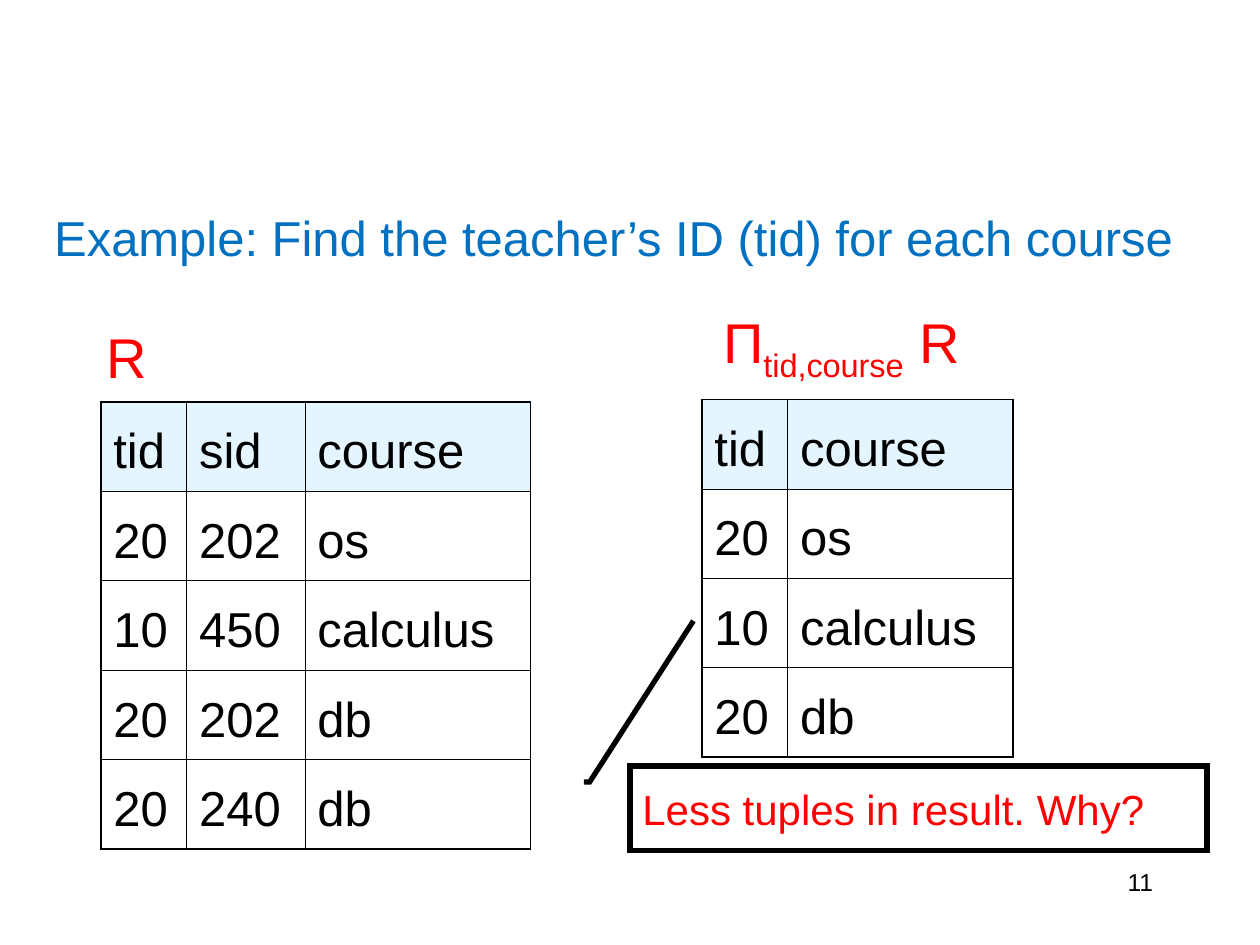
from dataclasses import dataclass

from lxml import etree
from pptx import Presentation
from pptx.dml.color import RGBColor
from pptx.enum import shapes, text
from pptx.oxml import ns
from pptx.util import Inches, Pt

BLACK = RGBColor(0x00, 0x00, 0x00)
RED = RGBColor(0xFF, 0x00, 0x00)
BLUE = RGBColor(0x00, 0x70, 0xC0)
HEADER_BLUE = RGBColor(0xCC, 0xEC, 0xFF)

FONT = "Arial"
ROW_HEIGHT = 0.71
OUTER_BORDER = 1.08
INNER_BORDER = 0.45
TID_WIDTH, SID_WIDTH, COURSE_WIDTH = 0.68, 0.94, 1.79


@dataclass
class Relation:
    left: float
    top: float
    widths: list[float]
    rows: list[list[str]]


@dataclass
class Label:
    left: float
    top: float
    width: float
    height: float
    runs: list[tuple[str, int]]
    size: float
    color: RGBColor
    align: text.PP_ALIGN = text.PP_ALIGN.LEFT
    anchor: text.MSO_ANCHOR = text.MSO_ANCHOR.TOP
    wrap: bool = True


RELATIONS = [
    Relation(5.57, 3.17, [TID_WIDTH, COURSE_WIDTH],
             [["tid", "course"], ["20", "os"], ["10", "calculus"], ["20", "db"]]),
    Relation(0.8, 3.19, [TID_WIDTH, SID_WIDTH, COURSE_WIDTH],
             [["tid", "sid", "course"], ["20", "202", "os"], ["10", "450", "calculus"],
              ["20", "202", "db"], ["20", "240", "db"]]),
]

LABELS = [
    Label(0.75, 2.5, 0.5, 0.64, [("R", 0)], 32, RED, anchor=text.MSO_ANCHOR.BOTTOM),
    Label(5.64, 2.39, 2.1, 0.71, [("Π", 0), ("tid,course", -25000), (" R", 0)], 32, RED,
          anchor=text.MSO_ANCHOR.MIDDLE, wrap=False),
    Label(7.17, 6.83, 2.08, 0.5, [("11", 0)], 14, BLACK, align=text.PP_ALIGN.RIGHT),
]


def style(paragraph, size: float, color: RGBColor) -> None:
    paragraph.font.name = FONT
    paragraph.font.size = Pt(size)
    paragraph.font.color.rgb = color


def add_border(cell, side: str, width: float) -> None:
    line = etree.SubElement(cell._tc.get_or_add_tcPr(), ns.qn(f"a:{side}"), w=str(Pt(width)))
    fill = etree.SubElement(line, ns.qn("a:solidFill"))
    etree.SubElement(fill, ns.qn("a:srgbClr"), val=str(BLACK))


def fill_header(cell) -> None:
    cell.fill.solid()
    cell.fill.fore_color.rgb = HEADER_BLUE
    color = cell._tc.tcPr.find(f"{ns.qn('a:solidFill')}/{ns.qn('a:srgbClr')}")
    etree.SubElement(color, ns.qn("a:alpha"), val="50000")


def draw_relation(slide, relation: Relation) -> None:
    row_count, column_count = len(relation.rows), len(relation.widths)
    table = slide.shapes.add_table(
        row_count, column_count, Inches(relation.left), Inches(relation.top),
        Inches(sum(relation.widths)), Inches(ROW_HEIGHT * row_count)).table
    table.first_row = table.horz_banding = False
    for column, width in zip(table.columns, relation.widths):
        column.width = Inches(width)
    for r, values in enumerate(relation.rows):
        table.rows[r].height = Inches(ROW_HEIGHT)
        for c, value in enumerate(values):
            cell = table.cell(r, c)
            cell.text = value
            paragraph = cell.text_frame.paragraphs[0]
            paragraph.line_spacing = 1.3
            style(paragraph, 28, BLACK)
            edges = {"lnL": c == 0, "lnR": c == column_count - 1,
                     "lnT": r == 0, "lnB": r == row_count - 1}
            for side, outer in edges.items():
                add_border(cell, side, OUTER_BORDER if outer else INNER_BORDER)
            if r == 0:
                fill_header(cell)
            else:
                cell.fill.background()


def draw_label(slide, label: Label) -> None:
    frame = slide.shapes.add_textbox(
        Inches(label.left), Inches(label.top),
        Inches(label.width), Inches(label.height)).text_frame
    frame.word_wrap = label.wrap
    frame.vertical_anchor = label.anchor
    paragraph = frame.paragraphs[0]
    paragraph.alignment = label.align
    for content, baseline in label.runs:
        run = paragraph.add_run()
        run.text = content
        if baseline:
            run.font._element.set("baseline", str(baseline))
    style(paragraph, label.size, label.color)


def draw_example(slide) -> None:
    example = slide.placeholders[1]
    example.left, example.top = Inches(0.33), Inches(1)
    example.width, example.height = Inches(9.42), Inches(5.25)
    frame = example.text_frame
    frame.margin_top = Inches(0.65)
    frame.text = "Example: Find the teacher’s ID (tid) for each course"
    paragraph = frame.paragraphs[0]
    properties = paragraph._p.get_or_add_pPr()
    properties.set("marL", str(Inches(0.38)))
    properties.set("indent", str(Inches(-0.38)))
    paragraph.space_before = Pt(0)
    etree.SubElement(properties, ns.qn("a:buNone"))
    style(paragraph, 28, BLUE)


def draw_question(slide) -> None:
    question = slide.shapes.add_shape(
        shapes.MSO_SHAPE.LINE_CALLOUT_2, Inches(5), Inches(6.08), Inches(4.58), Inches(0.67))
    question.shadow.inherit = False
    for index, value in enumerate([0.19, -0.08, 0.19, -0.07, -1.72, 0.11]):
        question.adjustments[index] = value
    question.fill.background()
    question.line.color.rgb = BLACK
    question.line.width = Pt(3)
    etree.SubElement(question.line._ln, ns.qn("a:miter"), lim="800000")
    frame = question.text_frame
    frame.word_wrap = True
    frame.vertical_anchor = text.MSO_ANCHOR.MIDDLE
    frame.text = "Less tuples in result. Why?"
    paragraph = frame.paragraphs[0]
    paragraph.alignment = text.PP_ALIGN.LEFT
    style(paragraph, 24, RED)


def main() -> None:
    presentation = Presentation()
    presentation.slide_width, presentation.slide_height = Inches(10), Inches(7.5)
    slide = presentation.slides.add_slide(presentation.slide_layouts[1])
    title = slide.shapes.title._element
    title.getparent().remove(title)
    draw_example(slide)
    for relation in RELATIONS:
        draw_relation(slide, relation)
    draw_question(slide)
    for label in LABELS:
        draw_label(slide, label)
    presentation.save("out.pptx")


if __name__ == "__main__":
    main()
